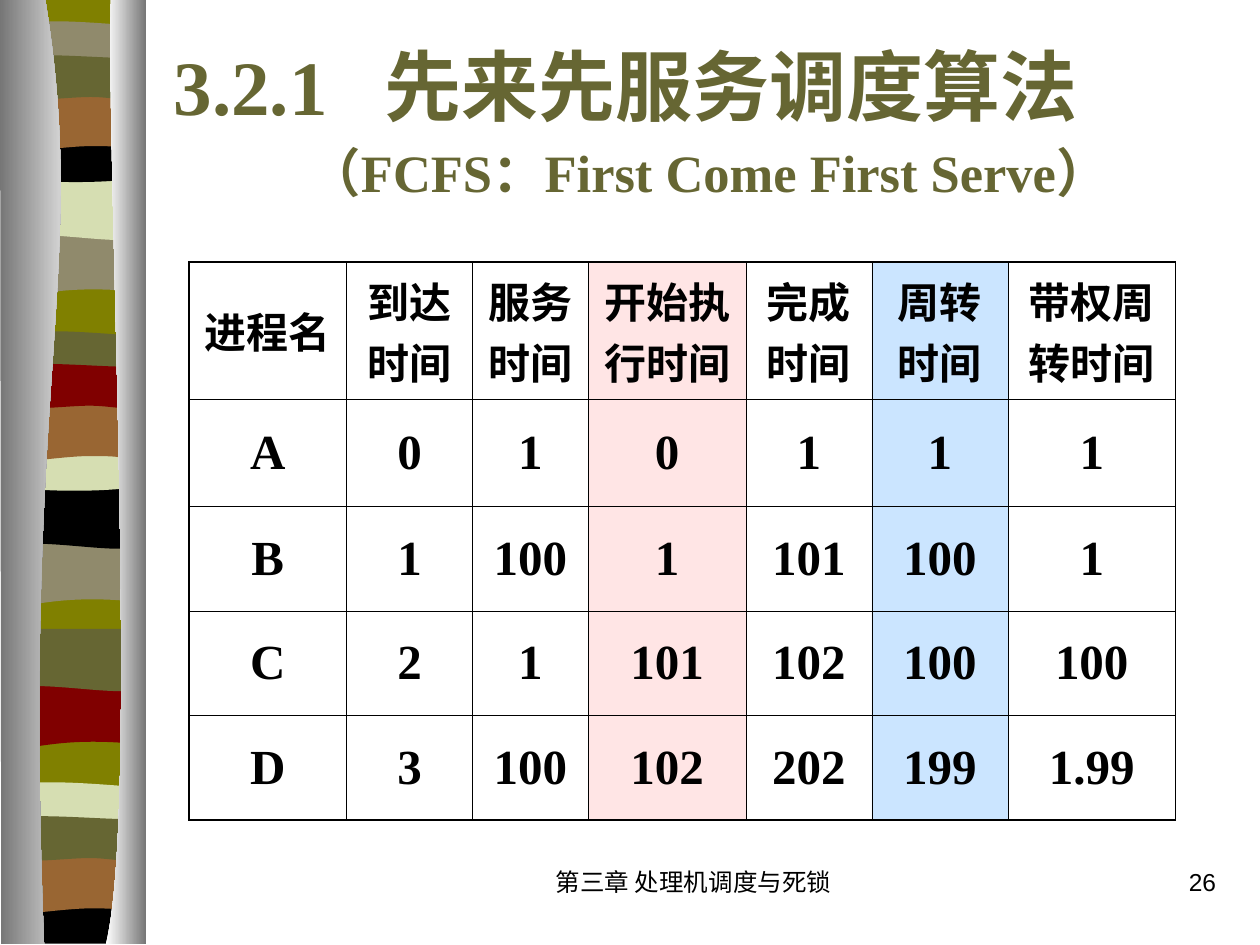
from lxml import etree
from pptx import Presentation
from pptx.dml.color import RGBColor
from pptx.enum.shapes import MSO_SHAPE
from pptx.enum.text import MSO_ANCHOR, PP_ALIGN
from pptx.oxml.ns import qn
from pptx.util import Inches, Pt

RECTANGLE = MSO_SHAPE.RECTANGLE
TOP, MIDDLE = MSO_ANCHOR.TOP, MSO_ANCHOR.MIDDLE
LEFT, CENTER, RIGHT = PP_ALIGN.LEFT, PP_ALIGN.CENTER, PP_ALIGN.RIGHT
SERIF, SANS = "Times New Roman", "Arial"

COLORS = {
    "olive": "808000", "moss": "666633", "stone": "908A6C", "pale": "D6DEB2",
    "brown": "996633", "maroon": "800000", "black": "000000",
    "grey": "767676", "white": "FFFFFF", "pink": "FFCCCC", "blue": "99CCFF",
}

# Content
TITLE = "3.2.1\t先来先服务调度算法"
SUBTITLE = "（FCFS：First Come First Serve）"
CHAPTER, PAGE = "第三章 处理机调度与死锁", "26"
SCHEDULE = [
    ("进程名", "到达时间", "服务时间", "开始执行时间", "完成时间", "周转时间", "带权周转时间"),
    ("A", "0", "1", "0", "1", "1", "1"),
    ("B", "1", "100", "1", "101", "100", "1"),
    ("C", "2", "1", "101", "102", "100", "100"),
    ("D", "3", "100", "102", "202", "199", "1.99"),
]
COLUMN_WIDTHS = [1.25, 1, 0.92, 1.25, 1, 1.08, 1.33]
ROW_HEIGHTS = [1.09, 0.85, 0.83, 0.83, 0.83]
COLUMN_TINTS = {3: "pink", 5: "blue"}
THIN, THICK = 0.45, 1.08

# Outlines: a pair is a line end, six numbers are a cubic curve
BAND_OUTLINES = {
    "wave": [(1.08, 0), (1.08, 0.47), (0.33, 0.39, 0.18, 0.55, 0, 0.47), (0, 0)],
    "sag": [(1.08, 0), (1.08, 0.47), (0.9, 0.55, 0.33, 0.41, 0, 0.47), (0, 0)],
    "narrow": [(1.08, 0.05), (1.08, 0.29), (0.9, 0.33, 0.18, 0.33, 0, 0.29), (0, 0.05),
               (0.06, 0, 0.23, 0.01, 0.41, 0.01), (0.59, 0.01, 0.94, 0.04, 1.08, 0.05)],
    "bowl": [(1.08, 0), (1.08, 0.32), (0.9, 0.38, 0.18, 0.38, 0, 0.32), (0, 0),
             (0.66, 0.05, 0.85, 0, 1.08, 0)],
    "arch": [(1.08, 0), (1.08, 0.47), (0.91, 0.42, 0.84, 0.42, 0.66, 0.42),
             (0.48, 0.42, 0.16, 0.47, 0, 0.47), (0, 0)],
    "ripple": [(1.08, 0.05), (1.08, 0.36), (1.01, 0.41, 0.84, 0.36, 0.66, 0.36),
               (0.48, 0.36, 0.11, 0.41, 0, 0.36), (0, 0.05),
               (0.15, 0, 0.73, 0.05, 0.91, 0.05), (1.09, 0.05, 1.04, 0.05, 1.08, 0.05)],
    "base": [(1.08, 0), (1.08, 0.37), (0, 0.37), (0, 0), (0.66, 0.05, 0.85, 0, 1.08, 0)],
}
# Outline, left, top, colour, from back to front
BANDS = [
    ("wave", 0.06, 1.85, "stone"), ("sag", 0.06, 1.41, "pale"),
    ("narrow", 0.06, 0.16, "stone"), ("bowl", 0.06, 1.08, "black"),
    ("arch", 0.06, 0.74, "brown"), ("ripple", 0.06, 0.41, "moss"),
    ("wave", 0.05, 4.31, "stone"), ("sag", 0.05, 3.86, "black"),
    ("narrow", 0.05, 2.62, "moss"), ("bowl", 0.05, 3.53, "pale"),
    ("arch", 0.05, 3.2, "brown"), ("ripple", 0.05, 2.86, "maroon"),
    ("wave", 0.06, 5.44, "maroon"), ("sag", 0.06, 4.99, "moss"),
    ("narrow", 0.05, 6.2, "pale"), ("base", 0.05, 7.12, "black"),
    ("arch", 0.05, 6.79, "brown"), ("ripple", 0.05, 6.45, "moss"),
]
# Outline, colour at the left, colour at the right
PILLARS = [
    ([(0.36, 0), (0.71, 2.16, 0.17, 2.96, 0.35, 7.49), (0.01, 7.49), (0, 0)], "grey", "white"),
    ([(0.88, 0), (0.84, 1.25, 1.11, 6.46, 0.84, 7.49), (1.16, 7.49), (1.16, 0)], "white", "grey"),
]


def rgb(name):
    return RGBColor.from_string(COLORS[name])


def add_outline(slide, outline, left=0, top=0):
    points = [(Inches(left + x), Inches(top + y))
              for segment in outline for x, y in zip(segment[::2], segment[1::2])]
    builder = slide.shapes.build_freeform(*points[0])
    builder.add_line_segments(points[1:])
    shape = builder.convert_to_shape()
    # Join each run of three points that forms a curve
    outline_path = next(shape._element.iter(qn("a:path")))
    lines = iter(outline_path.findall(qn("a:lnTo")))
    for segment in outline[1:]:
        first = next(lines)
        if len(segment) == 6:
            curve = etree.SubElement(outline_path, qn("a:cubicBezTo"))
            first.addprevious(curve)
            for line in (first, next(lines), next(lines)):
                curve.append(line[0])
                outline_path.remove(line)
    shape.shadow.inherit = False
    shape.line.fill.background()
    return shape


def style(paragraph, size, font, color, bold=False, align=LEFT):
    paragraph.alignment = align
    for run in paragraph.runs:
        run.font.size, run.font.name, run.font.bold = Pt(size), font, bold
        run.font.color.rgb = rgb(color)


def add_text(slide, box, text, anchor=TOP):
    frame = slide.shapes.add_textbox(*map(Inches, box)).text_frame
    frame.word_wrap = True
    frame.vertical_anchor = anchor
    frame.text = text
    return frame


def add_borders(cell, widths):
    properties = cell._tc.get_or_add_tcPr()
    for side, width in zip("LRTB", widths):
        line = etree.SubElement(properties, qn(f"a:ln{side}"), w=str(Pt(width)))
        fill = etree.SubElement(line, qn("a:solidFill"))
        etree.SubElement(fill, qn("a:srgbClr"), val=COLORS["black"])


def add_ribbon(slide):
    backing = slide.shapes.add_shape(RECTANGLE, Inches(0.06), 0, Inches(1.08), Inches(7.47))
    backing.shadow.inherit = False
    backing.line.fill.background()
    backing.fill.solid()
    backing.fill.fore_color.rgb = rgb("olive")
    for outline, left, top, color in BANDS:
        band = add_outline(slide, BAND_OUTLINES[outline], left, top)
        band.fill.solid()
        band.fill.fore_color.rgb = rgb(color)
    for outline, *shades in PILLARS:
        pillar = add_outline(slide, outline)
        pillar.fill.gradient()
        pillar.fill.gradient_angle = 0
        for stop, shade in zip(pillar.fill.gradient_stops, shades):
            stop.color.rgb = rgb(shade)


def add_title(slide):
    frame = add_text(slide, (1.28, 0.25, 8.38, 1.42), f"{TITLE}\n{SUBTITLE}", MIDDLE)
    heading, expansion = frame.paragraphs
    tabs = etree.SubElement(heading._p.get_or_add_pPr(), qn("a:tabLst"))
    etree.SubElement(tabs, qn("a:tab"), pos=str(Inches(1.67)), algn="l")
    expansion._p.get_or_add_pPr().set("marL", str(Inches(1.07)))
    expansion.space_before = Pt(5)
    style(heading, 44, SERIF, "moss", bold=True)
    style(expansion, 30, SERIF, "moss", bold=True)


def add_schedule(slide):
    last_row, last_column = len(SCHEDULE) - 1, len(COLUMN_WIDTHS) - 1
    table = slide.shapes.add_table(
        len(SCHEDULE), len(COLUMN_WIDTHS), Inches(1.5), Inches(2.08),
        Inches(sum(COLUMN_WIDTHS)), Inches(sum(ROW_HEIGHTS))).table
    table.first_row = table.horz_banding = False
    for column, width in zip(table.columns, COLUMN_WIDTHS):
        column.width = Inches(width)
    for r, values in enumerate(SCHEDULE):
        table.rows[r].height = Inches(ROW_HEIGHTS[r])
        for c, value in enumerate(values):
            cell = table.cell(r, c)
            cell.text_frame.text = value
            cell.vertical_anchor = MIDDLE
            style(cell.text_frame.paragraphs[0], 28 if r else 24, SERIF, "black", True, CENTER)
            outer = (c == 0, c == last_column, r == 0, r == last_row)
            add_borders(cell, [THICK if edge else THIN for edge in outer])
            if c in COLUMN_TINTS:
                cell.fill.solid()
                cell.fill.fore_color.rgb = rgb(COLUMN_TINTS[c])
                tint = cell._tc.tcPr.find(f"{qn('a:solidFill')}/{qn('a:srgbClr')}")
                etree.SubElement(tint, qn("a:alpha"), val="50000")
            else:
                cell.fill.background()


def main():
    deck = Presentation()
    deck.slide_width, deck.slide_height = Inches(10), Inches(7.5)
    slide = deck.slides.add_slide(deck.slide_layouts[6])
    add_ribbon(slide)
    add_title(slide)
    add_schedule(slide)
    # Footer
    for text, left, width, align in ((CHAPTER, 3.92, 3.17, CENTER), (PAGE, 7.67, 2.08, RIGHT)):
        footer = add_text(slide, (left, 6.83, width, 0.5), text)
        style(footer.paragraphs[0], 14, SANS, "black", align=align)
    deck.save("out.pptx")


if __name__ == "__main__":
    main()
